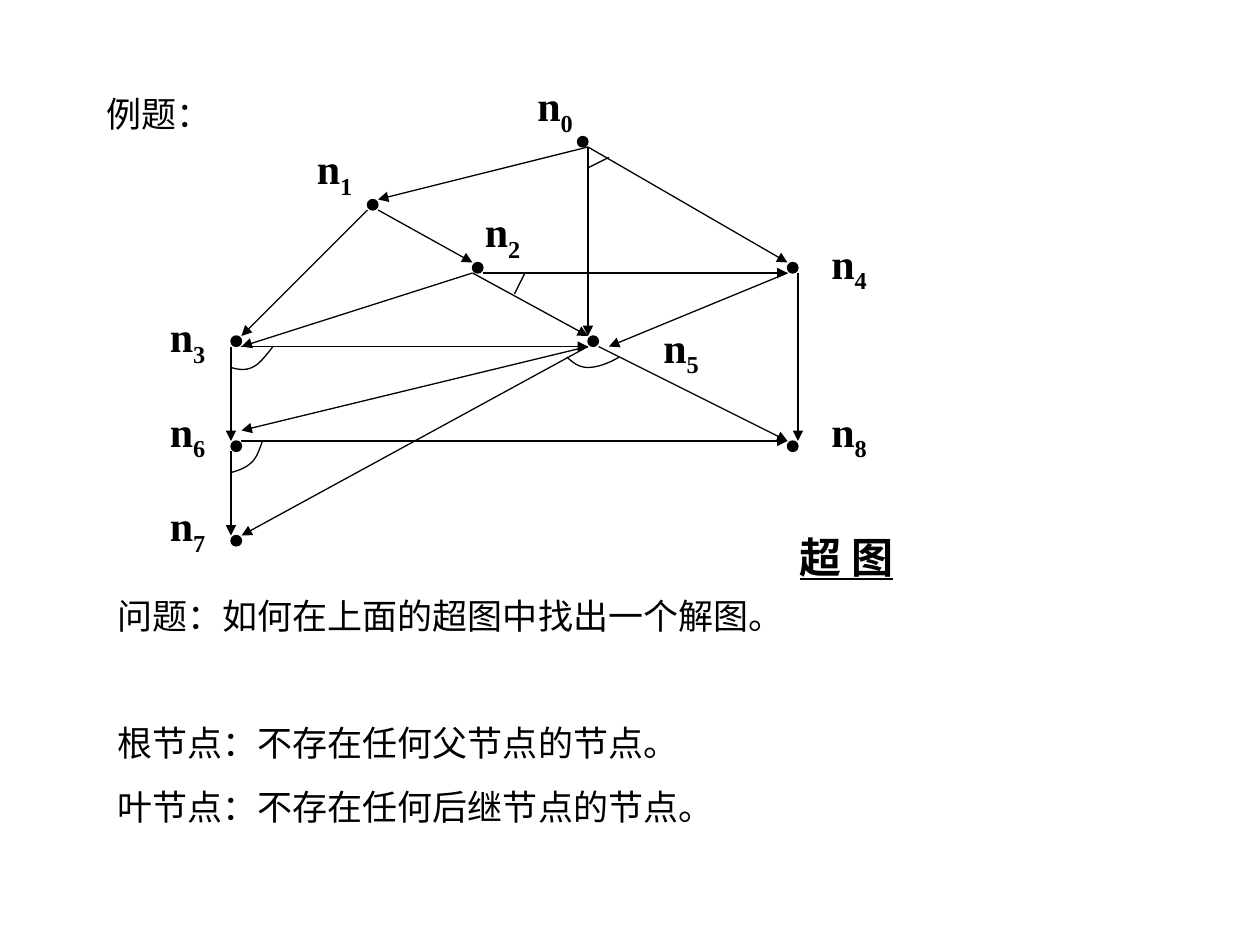
"""Builds the slide with the example hypergraph and its question."""
from pptx import Presentation
from pptx.dml.color import RGBColor
from pptx.enum.shapes import MSO_CONNECTOR as LINK, MSO_SHAPE as SHAPE
from pptx.enum.text import MSO_AUTO_SIZE as FIT
from pptx.oxml.ns import qn
from pptx.util import Cm, Pt
from lxml.etree import SubElement

UNIT = 2.54 / 12
BLACK = "000000"
SERIF, SANS = "Times New Roman", "Noto Sans CJK SC"

deck = Presentation()
deck.slide_width, deck.slide_height = Cm(25.4), Cm(19.05)
slide = deck.slides.add_slide(deck.slide_layouts[6])
shapes = slide.shapes


def paint(color, code):
    """Sets a colour from a hex string."""
    color.rgb = RGBColor.from_string(code)


def write(text, box, size=20, face=SANS, bold=False, under=False, sub="", gaps=(0,), pitch=None):
    """Adds a text box with one paragraph per line and an optional subscript."""
    frame = shapes.add_textbox(*[Cm(UNIT * n) for n in box]).text_frame
    frame.word_wrap = True
    frame.auto_size = FIT.SHAPE_TO_FIT_TEXT
    for row, (line, gap) in enumerate(zip(text.split("\n"), gaps)):
        para = frame.add_paragraph() if row else frame.paragraphs[0]
        para.space_before = Pt(gap)
        if pitch:
            para.line_spacing = Pt(pitch)
        for part in filter(None, (line, sub)):
            run = para.add_run()
            run.text = part
            font = run.font
            font.name, font.size, font.bold, font.underline = face, Pt(size), bold, under
            paint(font.color, BLACK)
            props = run._r.get_or_add_rPr()
            SubElement(props, qn("a:ea")).set("typeface", face)
            if part == sub:
                props.set("baseline", "-25000")


nodes = [
    ((55, 13), (50, 7)), ((35, 19), (29, 13)), ((45, 25), (45, 19)),
    ((22, 32), (15, 29)), ((75, 25), (78, 22)), ((56, 32), (62, 30)),
    ((22, 42), (15, 38)), ((22, 51), (15, 47)), ((75, 42), (78, 38)),
]
for num, (spot, tag) in enumerate(nodes):
    dot = shapes.add_shape(SHAPE.OVAL, *[Cm(UNIT * n) for n in (*spot, 1, 1)])
    dot.shadow.inherit = False
    dot.fill.solid()
    paint(dot.fill.fore_color, BLACK)
    paint(dot.line.color, BLACK)
    dot.line.width = Pt(0.75)
    write("n", (*tag, 7, 6.7), size=24, face=SERIF, bold=True, sub=str(num))

edges = [
    (56, 14, 36, 19), (56, 14, 75, 25), (36, 20, 45, 25), (46, 26, 75, 26),
    (56, 14, 56, 32), (45, 26, 56, 32), (23, 33, 56, 33), (35, 20, 23, 32),
    (45, 26, 23, 33), (22, 33, 22, 42), (22, 43, 22, 51), (76, 26, 76, 42),
    (23, 42, 75, 42), (75, 26, 58, 33), (56, 33, 23, 41), (56, 33, 23, 51),
    (57, 33, 75, 42),
]
for edge in edges:
    arrow = shapes.add_connector(LINK.STRAIGHT, *[Cm(UNIT * n) for n in edge])
    arrow.line.width = Pt(0.75)
    paint(arrow.line.color, BLACK)
    SubElement(arrow.line._get_or_add_ln(), qn("a:tailEnd")).set("type", "triangle")
    SubElement(arrow._element.spPr, qn("a:effectLst"))

arcs = [
    [(58, 15), (57.16, 15.4), (56.3, 15.84), (56, 16)],
    [(26, 33), (25.3, 33.9), (24.7, 34.7), (24, 35), (23.3, 35.3), (22.7, 35.2), (22, 35)],
    [(25, 42), (24.7, 42.8), (24.5, 43.5), (24, 44), (23.5, 44.5), (22.8, 44.8), (22, 45)],
    [(54, 34), (54.6, 34.6), (55.2, 35), (56, 35), (56.9, 35), (58, 34.6), (59, 34)],
    [(50, 26), (50, 26), (49.5, 27), (49, 28)],
]
STEPS = 8
for arc in arcs:
    points = []
    for start in range(0, len(arc) - 1, 3):
        for step in range(1, STEPS + 1):
            t = step / STEPS
            mix = ((1 - t) ** 3, 3 * t * (1 - t) ** 2, 3 * t * t * (1 - t), t ** 3)
            points.append([
                Cm(UNIT * sum(m * p[axis] for m, p in zip(mix, arc[start:start + 4])))
                for axis in (0, 1)
            ])
    pen = shapes.build_freeform(*[Cm(UNIT * n) for n in arc[0]])
    pen.add_line_segments(points, close=False)
    curve = pen.convert_to_shape()
    curve.shadow.inherit = False
    curve.fill.background()
    curve.line.width = Pt(0.75)
    paint(curve.line.color, BLACK)

write("例题：", (9, 8.2, 13, 5.3), pitch=24)
write("超 图", (75, 50, 13, 6), size=24, bold=True, under=True, pitch=28.8)
write(
    "问题：如何在上面的超图中找出一个解图。\n"
    "根节点：不存在任何父节点的节点。\n"
    "叶节点：不存在任何后继节点的节点。",
    (10, 56, 97, 23.5), gaps=(0, 49, 12.5), pitch=24,
)

deck.save("out.pptx")
